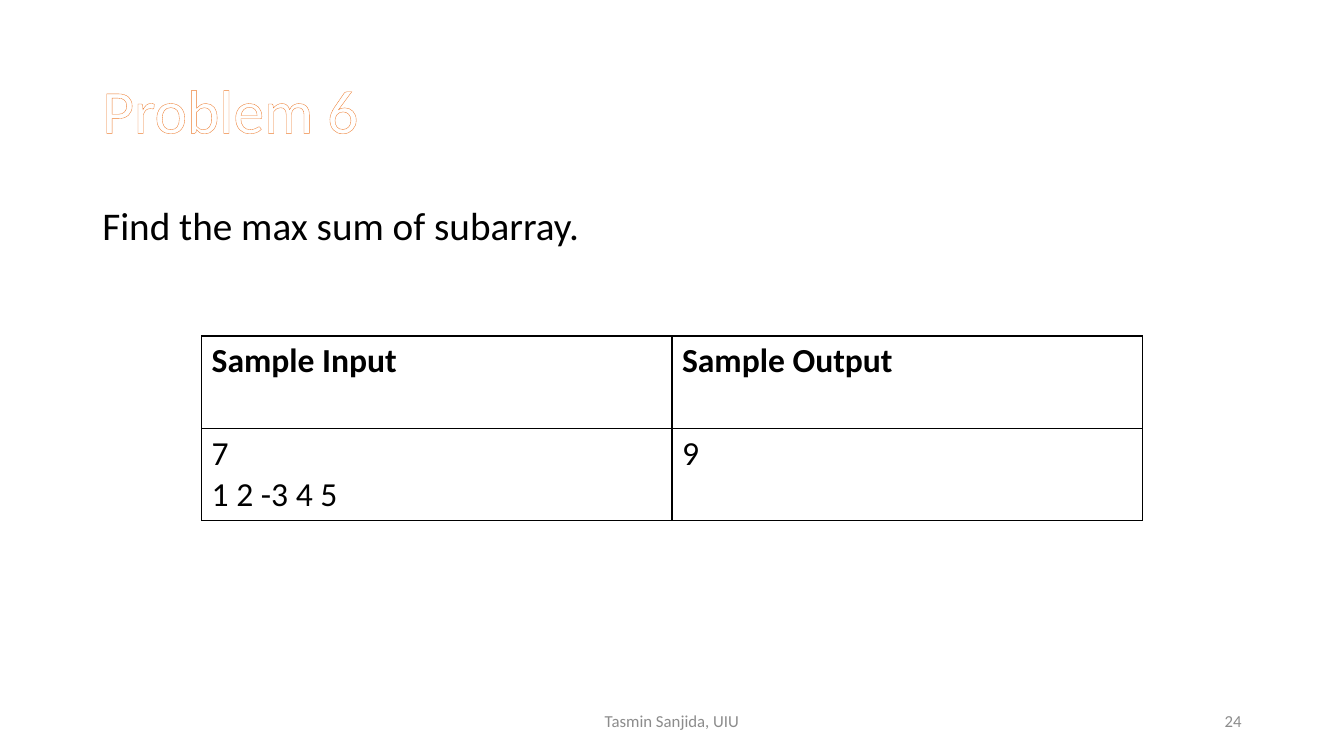
from lxml import etree
from pptx import Presentation
from pptx import util as u
from pptx.dml import color
from pptx.enum import text
from pptx.oxml import ns

COLORS = {"ink": "000000", "paper": "FFFFFF", "accent": "ED7D31", "muted": "8C8C8C"}
UNIT = u.Inches(1) / 12  # one grid column or row; the slide is 160 by 90


def grid(count):
    return u.Emu(round(count * UNIT))


def add_line(parent, tag, hex_color, points, index):
    """Insert a solid line element, such as a border or text outline."""
    line = etree.Element(ns.qn(tag), w=str(u.Pt(points)))
    fill = etree.SubElement(line, ns.qn("a:solidFill"))
    etree.SubElement(fill, ns.qn("a:srgbClr"), val=hex_color)
    parent.insert(index, line)


def write(frame, content, size=24, ink="ink", bold=False, align="LEFT",
          spacing=1.0, outline=None):
    """Fill a text frame, one paragraph per line of content."""
    for i, words in enumerate(content.split("\n")):
        paragraph = frame.add_paragraph() if i else frame.paragraphs[0]
        paragraph.alignment = getattr(text.PP_ALIGN, align)
        paragraph.line_spacing = spacing
        run = paragraph.add_run()
        run.text = words
        run.font.name = "Calibri"
        run.font.size = u.Pt(size)
        run.font.bold = bold
        run.font.color.rgb = color.RGBColor.from_string(COLORS[ink])
        if outline:
            add_line(run.font._element, "a:ln", COLORS[outline], 0.52, 0)


class ProblemSlide:
    def __init__(self, deck):
        self.slide = deck.slides.add_slide(deck.slide_layouts[6])

    def text_box(self, content, left, top, width, height, anchor="MIDDLE", **style):
        box = self.slide.shapes.add_textbox(*map(grid, (left, top, width, height)))
        box.text_frame.word_wrap = True
        box.text_frame.vertical_anchor = getattr(text.MSO_ANCHOR, anchor)
        write(box.text_frame, content, **style)

    def table(self, rows, left, top, width, row_height):
        frame = self.slide.shapes.add_table(
            len(rows), len(rows[0]), grid(left), grid(top),
            grid(width), grid(row_height * len(rows)))
        frame.table.horz_banding = False
        for r, row in enumerate(rows):
            for c, content in enumerate(row):
                cell = frame.table.cell(r, c)
                cell.fill.background()
                write(cell.text_frame, content, bold=r == 0)
                for i, side in enumerate("LRTB"):
                    add_line(cell._tc.get_or_add_tcPr(), f"a:ln{side}",
                             COLORS["ink"], 1, i)


def main():
    deck = Presentation()
    deck.slide_width, deck.slide_height = grid(160), grid(90)
    problem = ProblemSlide(deck)

    # Title and task
    problem.text_box("Problem 6", 11, 4.8, 138, 17.4, size=44, ink="paper",
                     spacing=0.9, outline="accent")
    problem.text_box("Find the max sum of subarray.", 11, 24, 138, 57.1,
                     anchor="TOP", size=28, spacing=0.9)

    # Sample case
    samples = [["Sample Input", "Sample Output"], ["7\n1 2 -3 4 5", "9"]]
    problem.table(samples, 24, 40, 112, 11)

    # Footer
    footer = {"size": 12, "ink": "muted"}
    problem.text_box("24", 113, 83.4, 36, 4.8, align="RIGHT", **footer)
    problem.text_box("Tasmin Sanjida, UIU", 53, 83.4, 54, 4.8, align="CENTER", **footer)

    deck.save("out.pptx")


if __name__ == "__main__":
    main()
